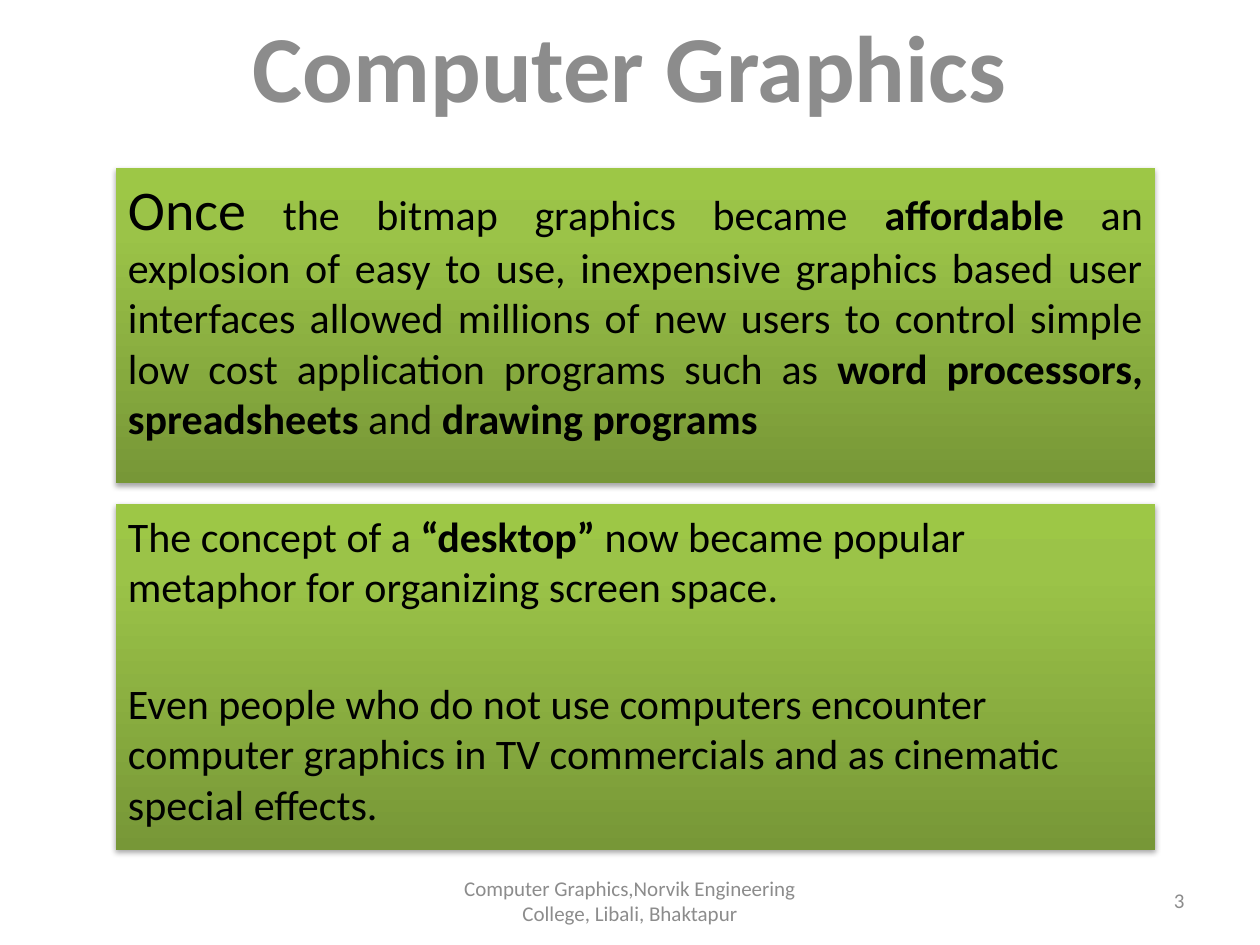
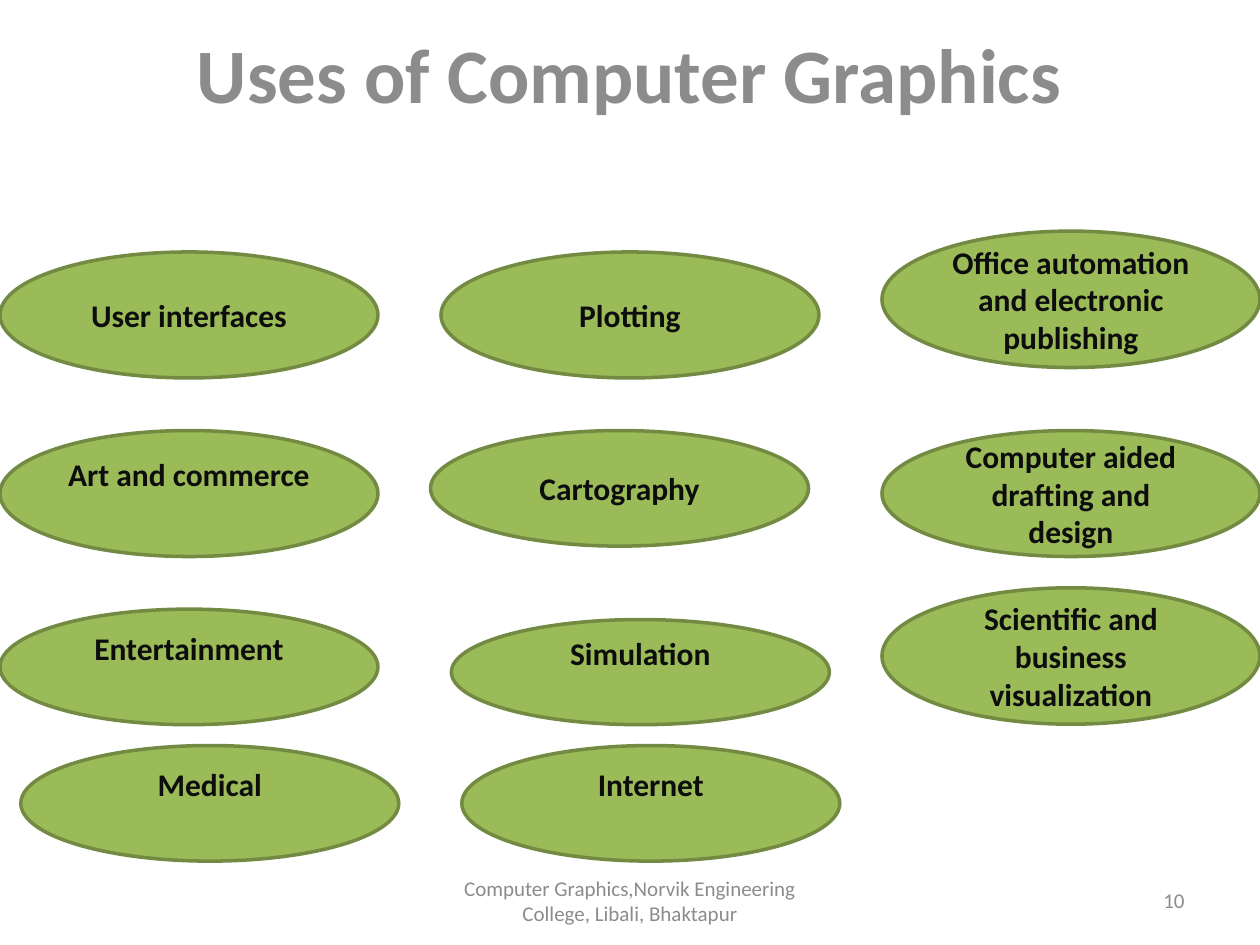
from lxml import etree
from pptx import Presentation
from pptx.dml.color import RGBColor
from pptx.enum.shapes import MSO_SHAPE
from pptx.enum.text import MSO_ANCHOR, PP_ALIGN
from pptx.oxml.ns import qn
from pptx.util import Cm, Pt

RECT, OVAL = MSO_SHAPE.RECTANGLE, MSO_SHAPE.OVAL
TOP, MIDDLE = MSO_ANCHOR.TOP, MSO_ANCHOR.MIDDLE
LEFT, CENTER, RIGHT, JUSTIFY = (PP_ALIGN.LEFT, PP_ALIGN.CENTER,
                                PP_ALIGN.RIGHT, PP_ALIGN.JUSTIFY)

FONT = "Calibri"
LINE = 1.22  # line height relative to the font size
COLORS = {
    "muted": "8C8C8C", "black": "000000", "ink": "0D0D0D",
    "oval": "9BBB59", "oval_line": "738A42",
    "panel_dark": "779737", "panel_mid": "9BC348", "panel_light": "9DC746",
}

# Content: a paragraph is a list of (text, format) runs; lengths in cm
FOOTER = "Computer Graphics,Norvik Engineering College, Libali, Bhaktapur"
BOLD = {"bold": True}

HISTORY = {
    "title": "Computer Graphics", "size": 54, "top": 0.43, "number": 3,
    "panels": [
        (3.39, 6.35, JUSTIFY, [
            [("Once", {"size": 32}),
             (" the bitmap graphics became ", {}),
             ("affordable", BOLD),
             (" an explosion of easy to use, inexpensive graphics based user "
              "interfaces allowed millions of new users to control simple low "
              "cost application programs such as ", {}),
             ("word processors, spreadsheets ", BOLD),
             ("and ", {}),
             ("drawing programs", BOLD)],
        ]),
        (10.16, 6.98, LEFT, [
            [("The concept of a ", {}),
             ("“desktop”", BOLD),
             (" now became popular metaphor for organizing screen space.", {})],
            [("Even people who do not use computers encounter computer graphics "
              "in TV commercials and as cinematic special effects.", {})],
        ]),
    ],
}

USES = {
    "title": "Uses of Computer Graphics", "size": 44, "top": 0.36, "number": 10,
    # text, left, top, height, text raised by half a line
    "ovals": [
        ("User interfaces", 0, 5.08, 2.54, False),
        ("Art and commerce", 0, 8.68, 2.54, True),
        ("Entertainment", 0, 12.28, 2.33, True),
        ("Medical", 0.42, 15.03, 2.33, True),
        ("Plotting", 8.89, 5.08, 2.54, False),
        ("Cartography", 8.68, 8.68, 2.33, False),
        ("Simulation", 9.1, 12.49, 2.12, True),
        ("Internet", 9.31, 15.03, 2.33, True),
        ("Office automation and electronic publishing", 17.78, 4.66, 2.75, False),
        ("Computer aided drafting and design", 17.78, 8.68, 2.54, False),
        ("Scientific and business visualization", 17.78, 11.85, 2.75, False),
    ],
}


def rgb(name):
    return RGBColor.from_string(COLORS[name])


def write(sp, text, size=18, color="ink", bold=False, align=CENTER,
          anchor=MIDDLE, gap=0, raised=False):
    """Fill sp with a string or a list of paragraphs made of runs."""
    tf = sp.text_frame
    tf.word_wrap = True
    tf.vertical_anchor = anchor
    if raised:
        tf.margin_bottom += Pt(size * LINE)
    paragraphs = [[(text, {})]] if isinstance(text, str) else text
    for i, runs in enumerate(paragraphs):
        p = tf.add_paragraph() if i else tf.paragraphs[0]
        p.alignment = align
        if i:
            p.space_before = Pt(gap)
        for words, style in runs:
            r = p.add_run()
            r.text = words
            r.font.name = FONT
            r.font.size = Pt(style.get("size", size))
            r.font.bold = style.get("bold", bold)
            r.font.color.rgb = rgb(color)


def box(slide, left, top, width, height, text, **style):
    sp = slide.shapes.add_textbox(Cm(left), Cm(top), Cm(width), Cm(height))
    write(sp, text, **style)


def sub(parent, tag, **attrs):
    return etree.SubElement(parent, qn(tag), {k: str(v) for k, v in attrs.items()})


def add_panel(slide, top, height, align, paragraphs):
    sp = slide.shapes.add_shape(RECT, Cm(2.33), Cm(top), Cm(20.96), Cm(height))
    sp.line.fill.background()
    # Gradient rising from dark to light, and a soft shadow below
    pr = sp._element.spPr
    grad = etree.Element(qn("a:gradFill"), rotWithShape="1")
    stops = sub(grad, "a:gsLst")
    for pos, name in ((0, "panel_dark"), (80, "panel_mid"), (100, "panel_light")):
        sub(sub(stops, "a:gs", pos=pos * 1000), "a:srgbClr", val=COLORS[name])
    sub(grad, "a:lin", ang=270 * 60000, scaled=0)
    pr.find(qn("a:prstGeom")).addnext(grad)
    shadow = sub(sub(pr, "a:effectLst"), "a:outerShdw", blurRad=Pt(3.1),
                 dist=Pt(1.8), dir=90 * 60000, rotWithShape=0)
    sub(sub(shadow, "a:srgbClr", val=COLORS["black"]), "a:alpha", val=35000)
    write(sp, paragraphs, size=24, color="black", align=align, anchor=TOP, gap=38)


def add_oval(slide, text, left, top, height, raised):
    sp = slide.shapes.add_shape(OVAL, Cm(left), Cm(top), Cm(7.62), Cm(height))
    sp.shadow.inherit = False
    sp.fill.solid()
    sp.fill.fore_color.rgb = rgb("oval")
    sp.line.color.rgb = rgb("oval_line")
    sp.line.width = Pt(2)
    write(sp, text, bold=True, raised=raised)


def add_slide(prs, content):
    """Add a slide with the shared title, footer and page number."""
    slide = prs.slides.add_slide(prs.slide_layouts[6])
    box(slide, 1.9, content["top"], 21.59, 4.09, content["title"],
        size=content["size"], color="muted", bold=True, raised=True)
    box(slide, 18.2, 17.65, 5.93, 1.01, str(content["number"]),
        size=12, color="muted", align=RIGHT)
    box(slide, 8.68, 17.65, 8.04, 1.01, FOOTER, size=12, color="muted")
    return slide


def main():
    prs = Presentation()
    prs.slide_width, prs.slide_height = Cm(25.4), Cm(19.05)

    slide = add_slide(prs, HISTORY)
    for panel in HISTORY["panels"]:
        add_panel(slide, *panel)

    slide = add_slide(prs, USES)
    for oval in USES["ovals"]:
        add_oval(slide, *oval)

    prs.save("out.pptx")


if __name__ == "__main__":
    main()
